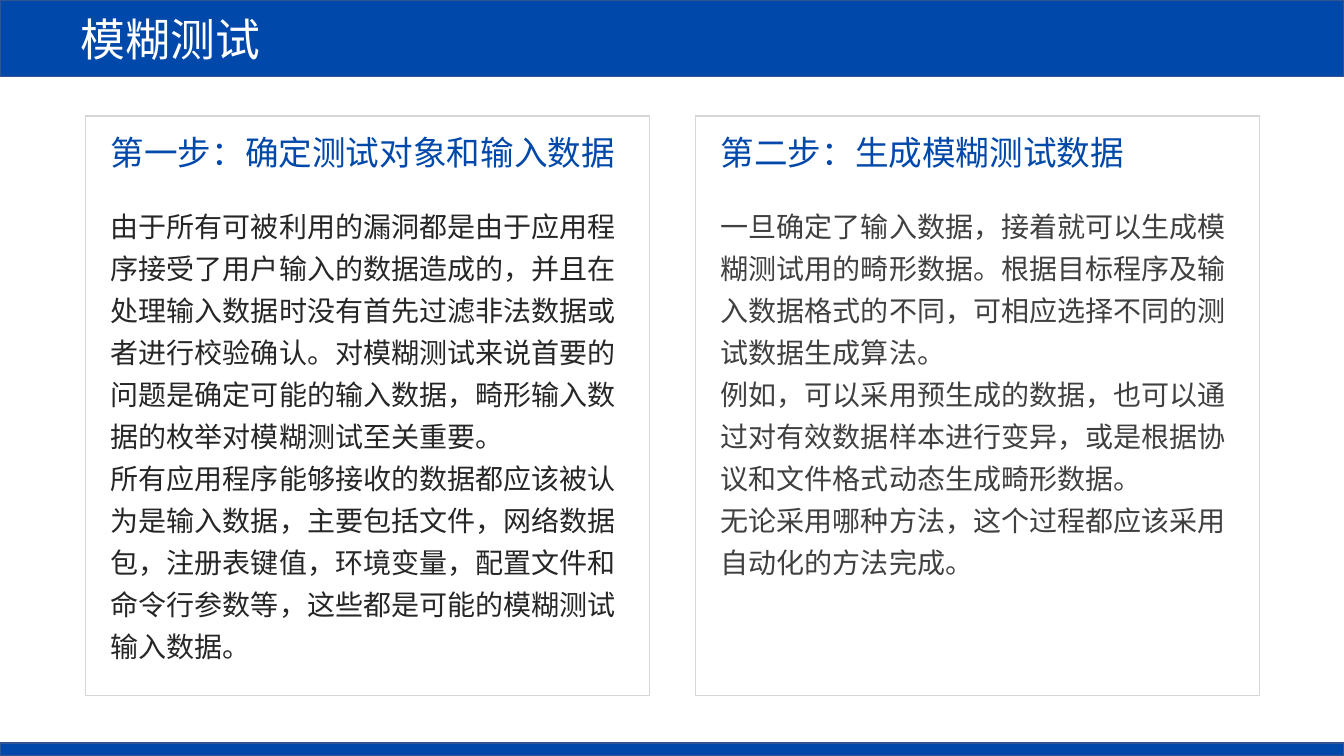
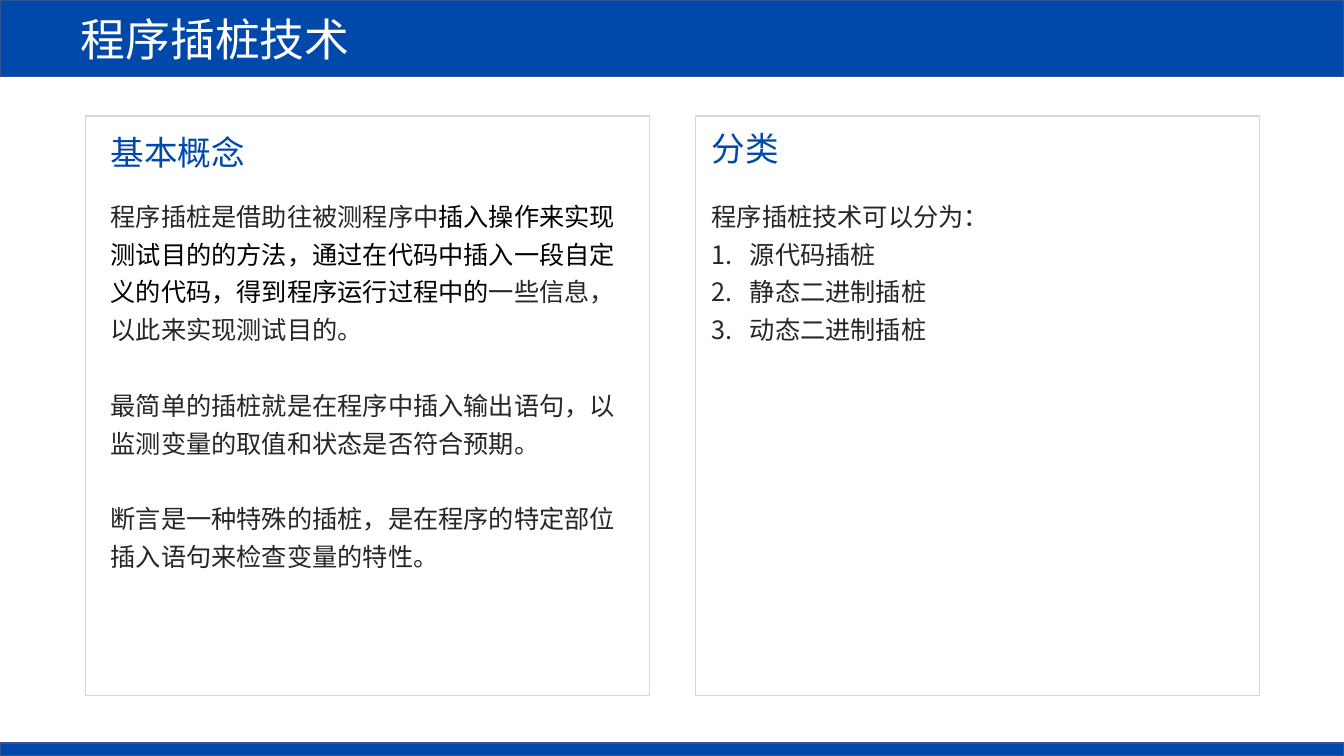
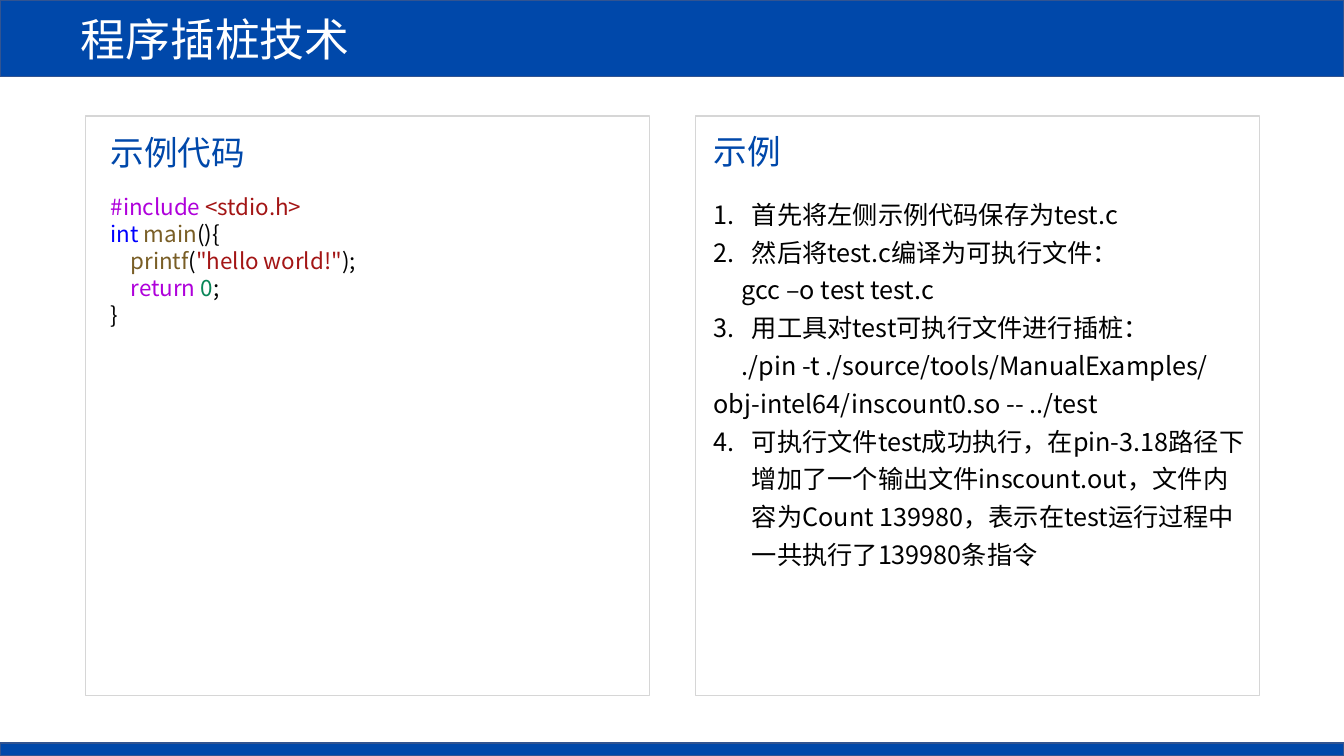
"""Build three slides on fuzz testing and program instrumentation."""
from dataclasses import dataclass

from lxml import etree
from pptx import Presentation
from pptx import util as u
from pptx.dml.color import RGBColor
from pptx.enum import shapes, text
from pptx.oxml.ns import qn


@dataclass(frozen=True)
class Theme:
    """Colours, fonts and type sizes in points."""
    blue: str = "0048AA"
    edge: str = "325491"
    card: str = "D6D6D6"
    white: str = "FFFFFF"
    black: str = "000000"
    ink: str = "262626"
    grey: str = "404040"
    keyword: str = "AF00DB"
    string: str = "A31515"
    kind: str = "0000FF"
    function: str = "795E26"
    number: str = "098658"
    font: str = "Noto Sans CJK SC"
    serif: str = "Times New Roman"
    title: int = 32
    heading: int = 24
    large: int = 20
    body: int = 18
    code: int = 16
    tight: float = 1.2
    loose: float = 1.5


@dataclass
class Para:
    """One paragraph: plain text or a list of (text, colour) spans."""
    content: str | list
    numbered: bool = False
    start: int | None = None
    indent: float = 0
    before: float = 0


THEME = Theme()


class Builder:
    """Holds the deck, the theme and the current slide."""

    def __init__(self, theme):
        """Open an empty wide deck."""
        self.theme = theme
        self.deck = Presentation()
        self.deck.slide_width = u.Inches(13.33)
        self.deck.slide_height = u.Inches(7.5)
        self.page = None

    def place(self, shape, left, top, width, height):
        """Move and size a shape."""
        shape.left, shape.top = u.Inches(left), u.Inches(top)
        shape.width, shape.height = u.Inches(width), u.Inches(height)

    def paint(self, shape, line, fill=None):
        """Set the outline and the fill of a shape."""
        if fill:
            shape.fill.solid()
            shape.fill.fore_color.rgb = RGBColor.from_string(fill)
        else:
            shape.fill.background()
        shape.line.color.rgb = RGBColor.from_string(line)
        shape.line.width = u.Pt(1)

    def rectangle(self, left, top, width, height, line, fill=None):
        """Add a plain rectangle."""
        box = self.page.shapes.add_shape(
            shapes.MSO_SHAPE.RECTANGLE, *map(u.Inches, (left, top, width, height)))
        box.shadow.inherit = False
        self.paint(box, line, fill)

    def slide(self, title):
        """Start a slide with its title band, bottom strip and two cards."""
        theme = self.theme
        self.page = self.deck.slides.add_slide(self.deck.slide_layouts[5])
        band = self.page.shapes.title
        self.place(band, 0, 0, 13.33, 0.76)
        self.paint(band, theme.edge, theme.blue)
        frame = band.text_frame
        frame.auto_size = text.MSO_AUTO_SIZE.NONE
        frame.vertical_anchor = text.MSO_ANCHOR.MIDDLE
        frame.margin_left = u.Inches(0.8)
        self.fill_text(frame, [Para(title)], theme.title, theme.white, theme.tight)
        self.rectangle(0, 7.37, 13.33, 0.13, theme.edge, theme.blue)
        for left in (0.85, 6.9):
            self.rectangle(left, 1.15, 5.59, 5.75, theme.card)

    def fill_text(self, frame, paras, size, color, spacing, font=None):
        """Fill a text frame with paragraphs of one style."""
        for index, item in enumerate(paras):
            para = frame.paragraphs[0] if index == 0 else frame.add_paragraph()
            self.style(para, item, size, color, spacing, font or self.theme.font)
            spans = item.content
            if isinstance(spans, str):
                spans = [(spans, color)]
            for words, tint in spans:
                span = para.add_run()
                span.text = words
                if tint != color:
                    span.font.color.rgb = RGBColor.from_string(tint)

    def style(self, para, item, size, color, spacing, font):
        """Set numbering, indents, spacing and font of a paragraph."""
        props = para._p.get_or_add_pPr()
        if item.numbered:
            props.set("marL", str(u.Inches(0.38)))
            props.set("indent", str(-u.Inches(0.38)))
            number = etree.SubElement(props, qn("a:buAutoNum"), type="arabicPeriod")
            if item.start:
                number.set("startAt", str(item.start))
        elif item.indent:
            props.set("indent", str(u.Inches(item.indent)))
        para.alignment = text.PP_ALIGN.LEFT
        para.line_spacing = u.Pt(size * spacing)
        if item.before:
            para.space_before = u.Pt(item.before)
        para.font.size = u.Pt(size)
        para.font.color.rgb = RGBColor.from_string(color)
        para.font.name = font
        etree.SubElement(props.find(qn("a:defRPr")), qn("a:ea"),
                         typeface=self.theme.font)

    def text_box(self, left, top, width, height, paras, size, color, spacing, font=None):
        """Add a wrapped text box."""
        box = self.page.shapes.add_textbox(*map(u.Inches, (left, top, width, height)))
        box.text_frame.word_wrap = True
        self.fill_text(box.text_frame, paras, size, color, spacing, font)

    def heading(self, left, top, words):
        """Add the blue heading of a card."""
        theme = self.theme
        self.text_box(left, top, 5.4, 0.5, [Para(words)],
                      theme.heading, theme.blue, theme.tight)

    def body(self, left, top, width, height, paras, size, color, font=None):
        """Add loosely spaced body text."""
        self.text_box(left, top, width, height, paras, size, color,
                      self.theme.loose, font)

    def code(self, left, top, width, height, lines):
        """Add a coloured code listing."""
        theme = self.theme
        self.text_box(left, top, width, height, [Para(line) for line in lines],
                      theme.code, theme.black, theme.tight)


def fuzzing(builder):
    """Build the fuzz testing slide."""
    builder.slide("模糊测试")
    builder.heading(1, 1.26, "第一步：确定测试对象和输入数据")
    builder.body(1, 1.95, 5.28, 5.07, [
        Para("由于所有可被利用的漏洞都是由于应用程序接受了用户输入的数据造成的，并且在处理输入数据时"
             "没有首先过滤非法数据或者进行校验确认。对模糊测试来说首要的问题是确定可能的输入数据，"
             "畸形输入数据的枚举对模糊测试至关重要。"),
        Para("所有应用程序能够接收的数据都应该被认为是输入数据，主要包括文件，网络数据包，注册表键值，"
             "环境变量，配置文件和命令行参数等，这些都是可能的模糊测试输入数据。"),
    ], THEME.large, THEME.ink)
    builder.heading(7.05, 1.26, "第二步：生成模糊测试数据")
    builder.body(7.05, 1.95, 5.28, 3.85, [
        Para("一旦确定了输入数据，接着就可以生成模糊测试用的畸形数据。根据目标程序及输入数据格式的不同，"
             "可相应选择不同的测试数据生成算法。"),
        Para("例如，可以采用预生成的数据，也可以通过对有效数据样本进行变异，或是根据协议和文件格式"
             "动态生成畸形数据。"),
        Para("无论采用哪种方法，这个过程都应该采用自动化的方法完成。"),
    ], THEME.large, THEME.grey, THEME.serif)


def concepts(builder):
    """Build the slide on instrumentation concepts and kinds."""
    gap = THEME.body * THEME.loose
    builder.slide("程序插桩技术")
    builder.heading(1, 1.26, "基本概念")
    builder.body(1, 1.87, 5.28, 3.85, [
        Para([("程序插桩是借助往被测程序中", THEME.ink),
              ("插入操作来实现测试目的的方法，通过在代码中插入一段自定义的代码，得到程序运行过程中的",
               THEME.black),
              ("一些信息，以此来实现测试目的。", THEME.ink)]),
        Para("最简单的插桩就是在程序中插入输出语句，以监测变量的取值和状态是否符合预期。", before=gap),
        Para("断言是一种特殊的插桩，是在程序的特定部位插入语句来检查变量的特性。", before=gap),
    ], THEME.body, THEME.ink)
    builder.heading(6.96, 1.22, "分类")
    kinds = ("源代码插桩", "静态二进制插桩", "动态二进制插桩")
    builder.body(6.96, 1.87, 5.4, 1.58,
                 [Para("程序插桩技术可以分为：")] + [Para(kind, numbered=True) for kind in kinds],
                 THEME.body, THEME.ink)


def example(builder):
    """Build the slide with the sample code and its steps."""
    builder.slide("程序插桩技术")
    builder.heading(1, 1.26, "示例代码")
    builder.code(1, 1.87, 5.36, 1.45, [
        [("#include ", THEME.keyword), ("<stdio.h>", THEME.string)],
        [("int ", THEME.kind), ("main", THEME.function), ("(){", THEME.black)],
        [("    printf", THEME.function), ("(", THEME.black),
         ('"hello world!"', THEME.string), (");", THEME.black)],
        [("    return ", THEME.keyword), ("0", THEME.number), (";", THEME.black)],
        "}",
    ])
    builder.heading(6.98, 1.25, "示例")
    builder.body(6.98, 1.85, 5.51, 3.85, [
        Para("首先将左侧示例代码保存为test.c", numbered=True),
        Para("然后将test.c编译为可执行文件：", numbered=True),
        Para("gcc –o test test.c", indent=0.28),
        Para("用工具对test可执行文件进行插桩：", numbered=True, start=3),
        Para("./pin -t ./source/tools/ManualExamples/", indent=0.28),
        Para("obj-intel64/inscount0.so -- ../test"),
        Para("可执行文件test成功执行，在pin-3.18路径下增加了一个输出文件inscount.out，"
             "文件内容为Count 139980，表示在test运行过程中一共执行了139980条指令",
             numbered=True, start=4),
    ], THEME.body, THEME.black)


def main():
    """Build and save the deck."""
    builder = Builder(THEME)
    for build in (fuzzing, concepts, example):
        build(builder)
    builder.deck.save("out.pptx")


if __name__ == "__main__":
    main()
